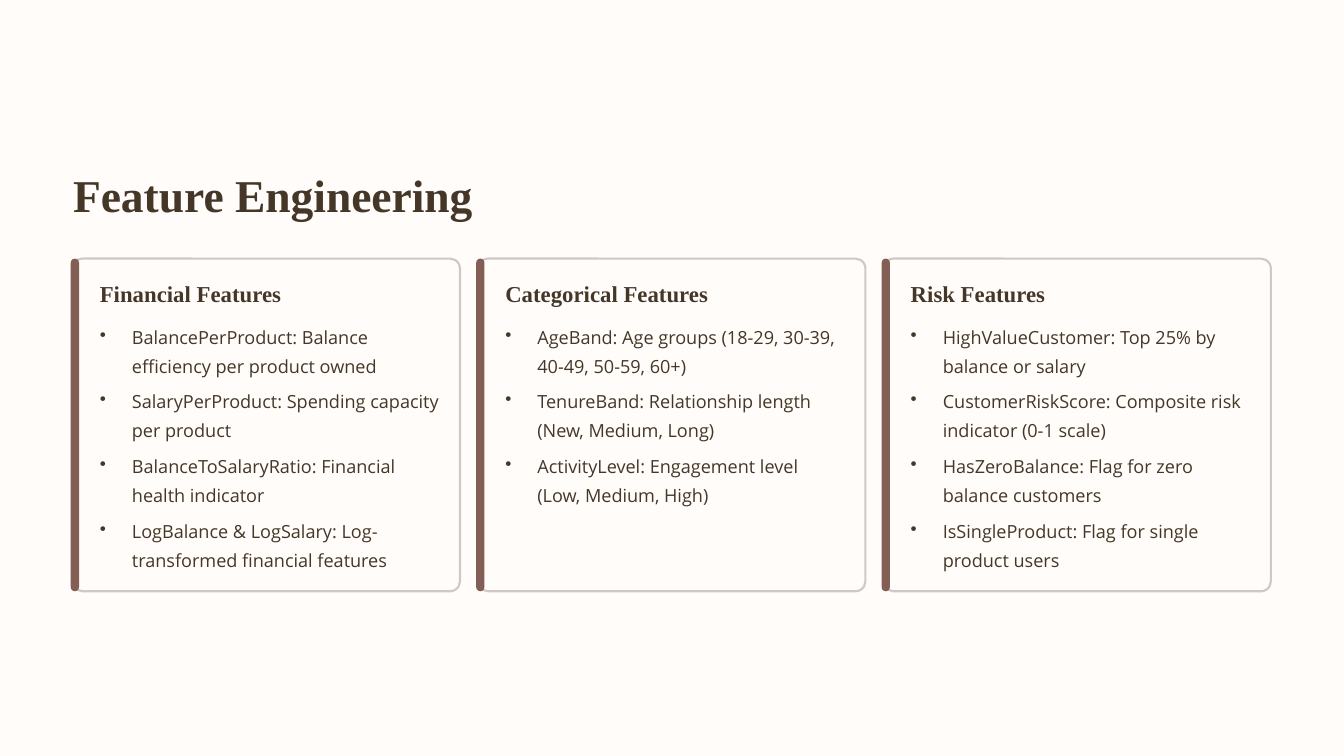
import lxml.etree
import pptx
import pptx.dml.color
import pptx.enum.shapes
import pptx.oxml.ns
import pptx.util

Cm = pptx.util.Cm
Pt = pptx.util.Pt
RGBColor = pptx.dml.color.RGBColor
MSO_SHAPE = pptx.enum.shapes.MSO_SHAPE

CREAM = RGBColor(0xFF, 0xFC, 0xFA)
DARK_BROWN = RGBColor(0x44, 0x37, 0x28)
ACCENT_BROWN = RGBColor(0x83, 0x5E, 0x54)
BORDER_GRAY = RGBColor(0xD1, 0xC8, 0xC6)

HEADING_FONT = "Times New Roman"
BODY_FONT = "Open Sans"

CARD_LEFT = 2.2
CARD_TOP = 7.82
CARD_WIDTH = 11.71
CARD_HEIGHT = 10.06
CARD_PITCH = 12.26
BULLET_TOP = 9.63
BULLET_PITCH = 1.96
BULLET_INDENT = 0.97

CARDS = [
    ("Financial Features", [
        "BalancePerProduct: Balance efficiency per product owned",
        "SalaryPerProduct: Spending capacity per product",
        "BalanceToSalaryRatio: Financial health indicator",
        "LogBalance & LogSalary: Log-transformed financial features",
    ]),
    ("Categorical Features", [
        "AgeBand: Age groups (18-29, 30-39, 40-49, 50-59, 60+)",
        "TenureBand: Relationship length (New, Medium, Long)",
        "ActivityLevel: Engagement level (Low, Medium, High)",
    ]),
    ("Risk Features", [
        "HighValueCustomer: Top 25% by balance or salary",
        "CustomerRiskScore: Composite risk indicator (0-1 scale)",
        "HasZeroBalance: Flag for zero balance customers",
        "IsSingleProduct: Flag for single product users",
    ]),
]


def add_text(slide, text, left, top, width, height, size, line_spacing,
             font=HEADING_FONT, bold=True, bullet=False):
    box = slide.shapes.add_textbox(Cm(left), Cm(top), Cm(width), Cm(height))
    frame = box.text_frame
    frame.margin_left = frame.margin_top = 0
    frame.margin_right = frame.margin_bottom = 0
    frame.word_wrap = bullet
    frame.text = text
    paragraph = frame.paragraphs[0]
    if bullet:
        add_bullet(paragraph)
    paragraph.line_spacing = Pt(line_spacing)
    run_font = paragraph.runs[0].font
    run_font.name = font
    run_font.size = Pt(size)
    run_font.bold = bold
    run_font.color.rgb = DARK_BROWN


def add_bullet(paragraph):
    properties = paragraph._p.get_or_add_pPr()
    properties.set("marL", str(Cm(BULLET_INDENT)))
    properties.set("indent", str(-Cm(BULLET_INDENT)))
    bullet = lxml.etree.SubElement(properties, pptx.oxml.ns.qn("a:buChar"))
    bullet.set("char", "•")


def add_rounded_box(slide, left, width, radius, fill, border=None):
    shape = slide.shapes.add_shape(
        MSO_SHAPE.ROUNDED_RECTANGLE,
        Cm(left), Cm(CARD_TOP), Cm(width), Cm(CARD_HEIGHT))
    shape.adjustments[0] = radius
    shape.shadow.inherit = False
    shape.fill.solid()
    shape.fill.fore_color.rgb = fill
    if border is None:
        shape.line.fill.background()
    else:
        shape.line.color.rgb = border
        shape.line.width = Pt(1.8)


def add_card(slide, left, heading, features):
    add_rounded_box(slide, left, CARD_WIDTH, 0.03, CREAM, BORDER_GRAY)
    add_rounded_box(slide, left - 0.06, 0.25, 0.5, ACCENT_BROWN)
    text_left = left + 0.82
    add_text(slide, heading, text_left, 8.43, 6.88, 0.86, 19.5, 24)
    for row, feature in enumerate(features):
        add_text(slide, feature, text_left, BULLET_TOP + row * BULLET_PITCH,
                 10.29, 1.75, 15.5, 25, BODY_FONT, bold=False, bullet=True)


def main():
    presentation = pptx.Presentation()
    presentation.slide_width = Cm(40.64)
    presentation.slide_height = Cm(22.86)
    slide = presentation.slides.add_slide(presentation.slide_layouts[6])
    slide.background.fill.solid()
    slide.background.fill.fore_color.rgb = CREAM
    add_text(slide, "Feature Engineering", 2.21, 4.98, 13.79, 1.73, 39, 48.5)
    for column, (heading, features) in enumerate(CARDS):
        add_card(slide, CARD_LEFT + column * CARD_PITCH, heading, features)
    presentation.save("out.pptx")


if __name__ == "__main__":
    main()
